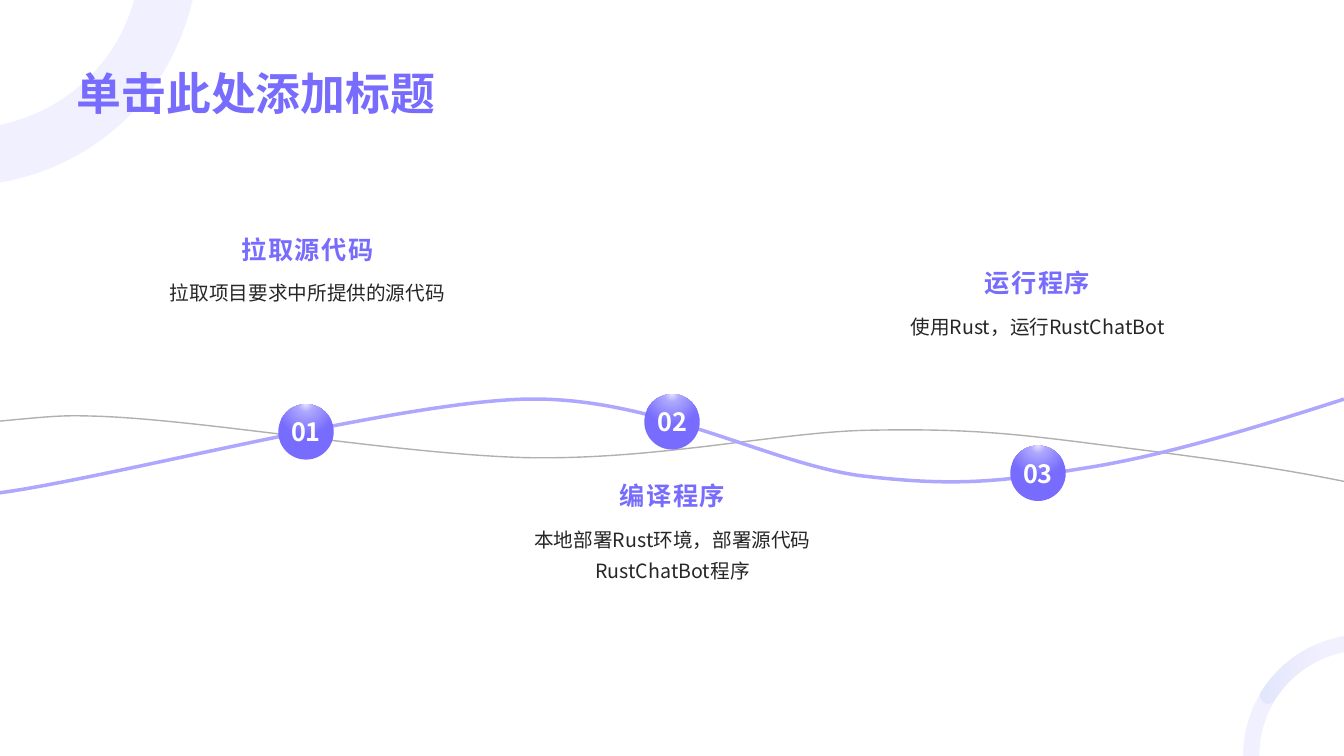
"""Build a three-step timeline slide with two crossing waves."""
from math import cos, radians, sin
from lxml.etree import SubElement
from pptx import Presentation
from pptx.dml.color import RGBColor
from pptx.enum.shapes import MSO_SHAPE as Shape
from pptx.enum.text import MSO_ANCHOR as Anchor, PP_ALIGN as Align
from pptx.oxml import parse_xml
from pptx.oxml.ns import nsdecls, qn
from pptx.util import Emu, Pt

PX = 9144
FONT = "Noto Sans CJK SC"
PURPLE, LILAC, PALE, BLUE = "776CFD", "ADA7FE", "E4E2FF", "5D95F1"
GREY, INK, WHITE = "B0B0B0", "262626", "FFFFFF"
CENTER = (666, 443)

BIG_RING = [(0, 124), (42, 115, 80, 92, 107, 55), (119, 38, 128, 19, 133, 0),
            (191, 0), (184, 30, 171, 60, 152, 87), (114, 139, 59, 171, 0, 181)]
SMALL_RING = [(1333, 631), (1276, 641, 1233, 690, 1233, 750), (1249, 750),
              (1249, 699, 1285, 657, 1333, 647)]
RING_TIP = [(1333, 631), (1333, 647), (1304, 653, 1280, 670, 1264, 694),
            (1262, 698, 1257, 699, 1254, 697), (1250, 694, 1249, 689, 1251, 686),
            (1269, 657, 1299, 637, 1333, 631)]
GREY_WAVE = [(-2, 418), (60, 412, 65, 412, 98, 413), (205, 417, 391, 450, 519, 454),
             (647, 457, 764, 430, 856, 427), (949, 425, 995, 429, 1074, 439),
             (1152, 449, 1247, 460, 1335, 478)]
LILAC_WAVE = [(-1, 489), (106, 475, 393, 399, 521, 396), (649, 393, 762, 460, 854, 472),
              (946, 483, 992, 478, 1072, 465), (1152, 453, 1243, 425, 1333, 396)]

STEPS = [("拉取源代码", "拉取项目要求中所提供的源代码", 226, 401),
         ("编译程序", "本地部署Rust环境，部署源代码RustChatBot程序", 471, 391),
         ("运行程序", "使用Rust，运行RustChatBot", 259, 442)]


def color(code):
    """Turn a hex string into a colour."""
    return RGBColor.from_string(code)


def px(*lengths):
    """Turn pixel lengths into EMU."""
    return [Emu(round(length * PX)) for length in lengths]


def untilt(point, angle):
    """Turn a point back around the wave center."""
    turn = radians(angle)
    across, down = point[0] - CENTER[0], point[1] - CENTER[1]
    return (CENTER[0] + across * cos(turn) + down * sin(turn),
            CENTER[1] - across * sin(turn) + down * cos(turn))


def add_outline(page, segments, closed, angle=0):
    """Draw a freeform from line and cubic curve segments."""
    points = [px(*untilt(pair, angle)) for segment in segments
              for pair in zip(segment[::2], segment[1::2])]
    builder = page.shapes.build_freeform(*points[0], scale=1)
    builder.add_line_segments(points[1:], close=closed)
    outline = builder.convert_to_shape()
    outline.shadow.inherit = False
    outline.rotation = angle
    lines = iter(list(outline._element.spPr.iter(qn("a:lnTo"))))
    for segment in segments[1:]:
        node = next(lines)
        if len(segment) == 6:
            node.tag = qn("a:cubicBezTo")
            for extra in (next(lines), next(lines)):
                node.append(extra[0])
                extra.getparent().remove(extra)
    return outline


def add_ring(page, segments):
    """Draw a faint purple corner ring."""
    ring = add_outline(page, segments, True)
    ring.line.fill.background()
    ring.fill.solid()
    ring.fill.fore_color.rgb = color(PURPLE)
    paint = ring.fill._xPr.find(qn("a:solidFill"))[0]
    SubElement(paint, qn("a:alpha"), val="10000")
    return ring


def add_wave(page, segments, code, width, angle=0):
    """Draw an open wave line."""
    wave = add_outline(page, segments, False, angle)
    wave.fill.background()
    wave.line.color.rgb = color(code)
    wave.line.width = Pt(width)


def set_gradient(shape, stops, direction):
    """Fill a shape with (position, colour, opacity) stops."""
    stop_xml = "".join(
        f'<a:gs pos="{position * 1000}"><a:srgbClr val="{code}">'
        f'<a:alpha val="{opacity * 1000}"/></a:srgbClr></a:gs>'
        for position, code, opacity in stops)
    shape.fill.gradient()
    properties = shape._element.spPr
    properties.replace(properties.find(qn("a:gradFill")), parse_xml(
        f'<a:gradFill {nsdecls("a")} rotWithShape="1"><a:gsLst>{stop_xml}</a:gsLst>'
        f'{direction}</a:gradFill>'))


def set_text(box, text, size, code, bold=False, align=Align.CENTER,
             anchor=Anchor.MIDDLE, wrap=True, line_spacing=None, tracking=0):
    """Write one styled paragraph without margins."""
    frame = box.text_frame
    frame.text = text
    frame.word_wrap = wrap
    frame.vertical_anchor = anchor
    frame.margin_left = frame.margin_right = frame.margin_top = frame.margin_bottom = 0
    para = frame.paragraphs[0]
    para.alignment = align
    para.line_spacing = line_spacing
    span = para.runs[0]
    span.font.size, span.font.bold, span.font.name = Pt(size), bold, FONT
    span.font.color.rgb = color(code)
    properties = span.font._element
    SubElement(properties, qn("a:ea"), typeface=FONT)
    if tracking:
        properties.set("spc", str(tracking * 100))


def add_step(page, index, heading, detail, heading_top, badge_top):
    """Draw one step: detail, heading and numbered badge."""
    left = 164 + 362 * index
    body = page.shapes.add_textbox(*px(left, heading_top + 46, 282, 110))
    set_text(body, detail, 14, INK, anchor=Anchor.TOP, line_spacing=1.3)

    label = page.shapes.add_shape(Shape.ROUNDED_RECTANGLE, *px(left, heading_top, 282, 42))
    label.adjustments[0] = 0.5
    label.shadow.inherit = False
    label.fill.background()
    label.line.fill.background()
    set_text(label, heading, 18, PURPLE, bold=True, tracking=1)

    badge = page.shapes.add_shape(Shape.OVAL, *px(276 + 363 * index, badge_top, 55, 55))
    badge.shadow.inherit = False
    badge.line.fill.background()
    set_gradient(badge, [(0, PALE, 100), (21, LILAC, 100), (80, PURPLE, 100)],
                 '<a:path path="circle"><a:fillToRect l="50000" t="-80000" '
                 'r="50000" b="180000"/></a:path>')
    set_text(badge, f"{index + 1:02}", 18, WHITE, bold=True, wrap=False)


def main():
    """Build and save the deck."""
    deck = Presentation()
    deck.slide_width, deck.slide_height = px(1333, 750)
    page = deck.slides.add_slide(deck.slide_layouts[6])

    add_ring(page, BIG_RING)
    add_ring(page, SMALL_RING)
    tip = add_ring(page, RING_TIP)
    set_gradient(tip, [(0, BLUE, 10), (70, BLUE, 0)], '<a:lin ang="60000" scaled="0"/>')

    title = page.shapes.add_textbox(*px(76, 39, 1181, 79))
    set_text(title, "单击此处添加标题", 32, PURPLE, bold=True,
             align=Align.LEFT, anchor=Anchor.BOTTOM)

    add_wave(page, GREY_WAVE, GREY, 1)
    add_wave(page, LILAC_WAVE, LILAC, 2.5, angle=4.4)
    for index, step in enumerate(STEPS):
        add_step(page, index, *step)
    deck.save("out.pptx")


if __name__ == "__main__":
    main()
